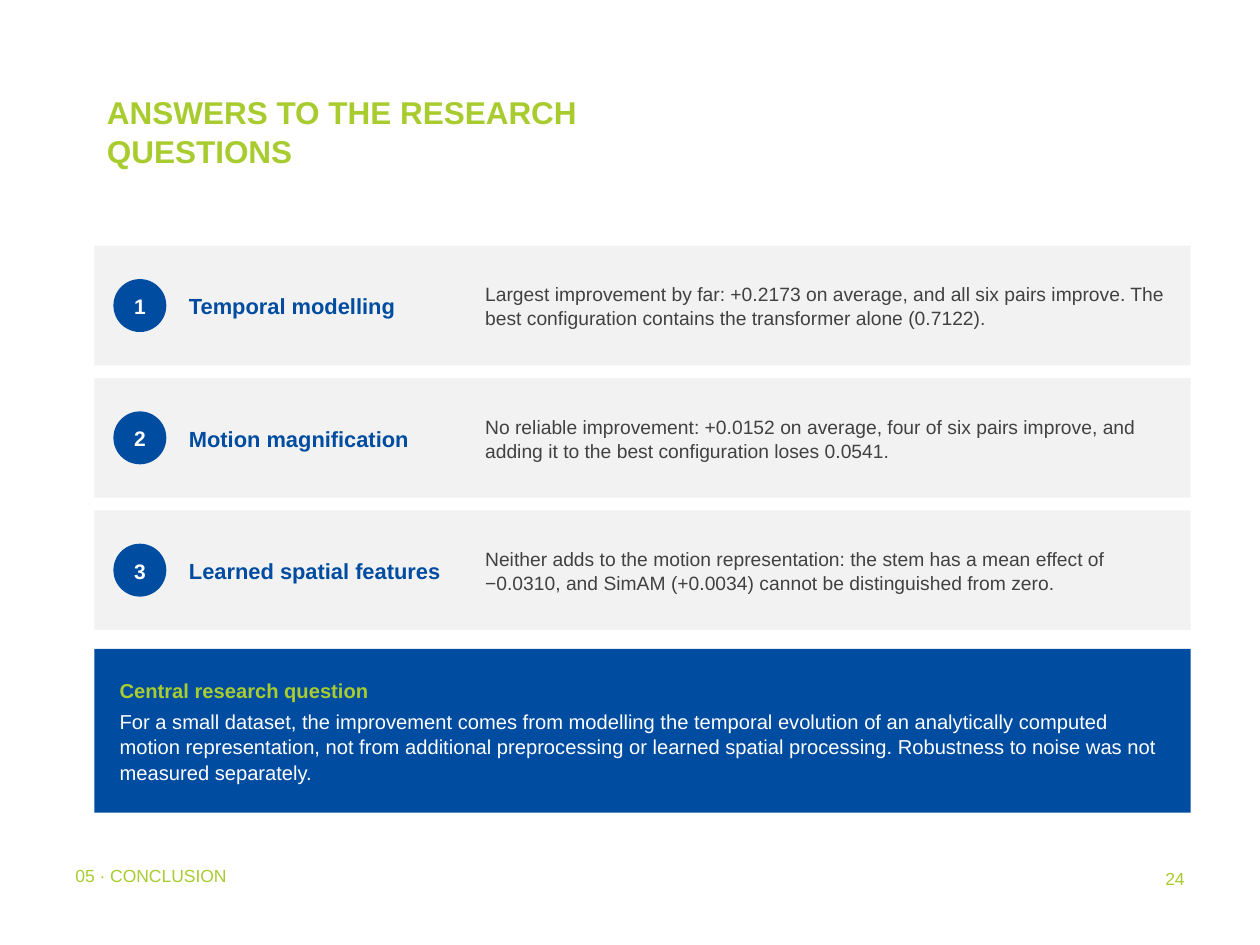
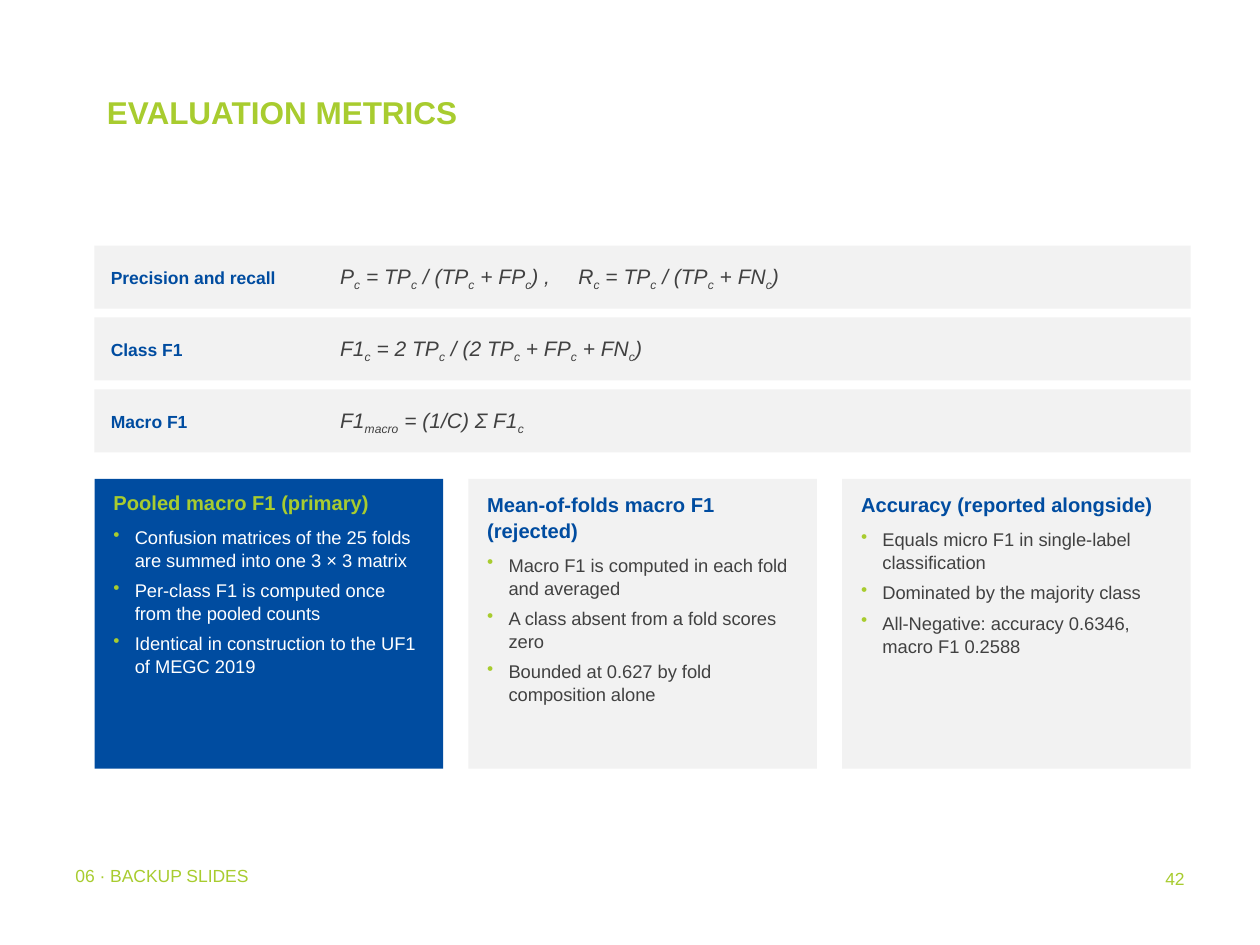
from lxml import etree
from pptx import Presentation
from pptx.dml.color import RGBColor
from pptx.enum.shapes import MSO_SHAPE
from pptx.enum.text import MSO_ANCHOR, PP_ALIGN
from pptx.oxml.ns import qn
from pptx.util import Inches, Pt

RECTANGLE, OVAL = MSO_SHAPE.RECTANGLE, MSO_SHAPE.OVAL
TOP, MIDDLE = MSO_ANCHOR.TOP, MSO_ANCHOR.MIDDLE
LEFT, CENTER, RIGHT = PP_ALIGN.LEFT, PP_ALIGN.CENTER, PP_ALIGN.RIGHT

COLORS = {"lime": "A8CC2F", "blue": "004CA0", "panel": "F2F2F2",
          "text": "414141", "white": "FFFFFF"}
FONT = "Arial"
LINE_SPACING = 1.05
MARGIN, CONTENT_TOP, CONTENT_WIDTH = 0.75, 1.95, 8.7
INSET = (0.05, 0.03)

STYLES = {
    "title": {"size": 18, "bold": True, "color": "lime"},
    "footer": {"size": 10, "color": "lime"},
    "number": {"size": 12, "bold": True, "color": "white"},
    "topic": {"size": 12.5, "bold": True, "color": "blue"},
    "finding": {"size": 11, "color": "text"},
    "central_head": {"size": 11.5, "bold": True, "color": "lime"},
    "central_body": {"size": 11.5, "color": "white"},
    "metric": {"size": 10, "bold": True, "color": "blue"},
    "formula": {"size": 12, "italic": True, "color": "text"},
    "card_head": {"size": 11.5, "bold": True, "color": "blue"},
    "card_head_primary": {"size": 11.5, "bold": True, "color": "lime"},
    "card_item": {"size": 10.5, "color": "text"},
    "card_item_primary": {"size": 10.5, "color": "white"},
}

ANSWERS = [
    ("Temporal modelling",
     "Largest improvement by far: +0.2173 on average, and all six pairs improve. "
     "The best configuration contains the transformer alone (0.7122)."),
    ("Motion magnification",
     "No reliable improvement: +0.0152 on average, four of six pairs improve, "
     "and adding it to the best configuration loses 0.0541."),
    ("Learned spatial features",
     "Neither adds to the motion representation: the stem has a mean effect of "
     "−0.0310, and SimAM (+0.0034) cannot be distinguished from zero."),
]
CENTRAL = [
    ("Central research question", "central_head"),
    ("For a small dataset, the improvement comes from modelling the temporal "
     "evolution of an analytically computed motion representation, not from "
     "additional preprocessing or learned spatial processing. Robustness to "
     "noise was not measured separately.", "central_body"),
]

SUBSCRIPT_MARK = "|"
FORMULAS = [
    ("Precision and recall",
     "P|c| = TP|c| / (TP|c| + FP|c|) ,\tR|c| = TP|c| / (TP|c| + FN|c|)"),
    ("Class F1", "F1|c| = 2 TP|c| / (2 TP|c| + FP|c| + FN|c|)"),
    ("Macro F1", "F1|macro| = (1/C) Σ F1|c|"),
]
FORMULA_TAB = 1.89

CARDS = [
    {"head": "Pooled macro F1 (primary)", "fill": "blue", "suffix": "_primary", "pad": 0.05,
     "items": ["Confusion matrices of the 25 folds are summed into one 3 × 3 matrix",
               "Per-class F1 is computed once from the pooled counts",
               "Identical in construction to the UF1 of MEGC 2019"]},
    {"head": "Mean-of-folds macro F1 (rejected)", "fill": "panel", "suffix": "", "pad": 0.07,
     "items": ["Macro F1 is computed in each fold and averaged",
               "A class absent from a fold scores zero",
               "Bounded at 0.627 by fold composition alone"]},
    {"head": "Accuracy (reported alongside)", "fill": "panel", "suffix": "", "pad": 0.07,
     "items": ["Equals micro F1 in single-label classification",
               "Dominated by the majority class",
               "All-Negative: accuracy 0.6346, macro F1 0.2588"]},
]


def rgb(name):
    return RGBColor.from_string(COLORS[name])


def add_panel(page, left, top, width, height, fill, kind=RECTANGLE):
    shape = page.shapes.add_shape(kind, *map(Inches, (left, top, width, height)))
    shape.shadow.inherit = False
    shape.fill.solid()
    shape.fill.fore_color.rgb = rgb(fill)
    shape.line.fill.background()
    return shape


def set_frame(frame, inset, anchor):
    horizontal, vertical = map(Inches, inset)
    settings = {"word_wrap": True, "vertical_anchor": anchor,
                "margin_left": horizontal, "margin_right": horizontal,
                "margin_top": vertical, "margin_bottom": vertical}
    for name, value in settings.items():
        setattr(frame, name, value)


def style_font(font, style):
    settings = {"name": FONT, "bold": False, "italic": False, **STYLES[style]}
    font.color.rgb = rgb(settings.pop("color"))
    settings["size"] = Pt(settings["size"])
    for name, value in settings.items():
        setattr(font, name, value)


def add_bullet(para):
    properties = para._p.get_or_add_pPr()
    properties.set("marL", str(Inches(0.17)))
    properties.set("indent", str(-Inches(0.17)))
    color = etree.SubElement(properties, qn("a:buClr"))
    etree.SubElement(color, qn("a:srgbClr"), val=COLORS["lime"])
    etree.SubElement(properties, qn("a:buChar"), char="•")


def add_tab_stop(para, position):
    tabs = etree.SubElement(para._p.get_or_add_pPr(), qn("a:tabLst"))
    etree.SubElement(tabs, qn("a:tab"), pos=str(Inches(position)), algn="l")


def write_para(para, text, style, align=LEFT, after=0, bullet=False):
    if bullet:
        add_bullet(para)
    if "\t" in text:
        add_tab_stop(para, FORMULA_TAB)
    settings = {"alignment": align, "line_spacing": LINE_SPACING, "space_after": Pt(after)}
    for name, value in settings.items():
        setattr(para, name, value)
    for index, part in enumerate(text.split(SUBSCRIPT_MARK)):
        if part:
            span = para.add_run()
            span.text = part
            style_font(span.font, style)
            if index % 2:
                span._r.get_or_add_rPr().set("baseline", "-25000")


def add_text(page, left, top, width, height, paragraphs, inset=INSET, anchor=MIDDLE):
    box = page.shapes.add_textbox(*map(Inches, (left, top, width, height)))
    set_frame(box.text_frame, inset, anchor)
    for index, (text, style, options) in enumerate(paragraphs):
        para = box.text_frame.add_paragraph() if index else box.text_frame.paragraphs[0]
        write_para(para, text, style, **options)


def add_page(deck, title, section, number):
    page = deck.slides.add_slide(deck.slide_layouts[6])
    add_text(page, MARGIN, 0.67, 5.42, 1.25, [(title, "title", {})], (0.1, 0.05), TOP)
    add_text(page, 0.5, 6.83, 5.67, 0.4, [(section, "footer", {})], (0.1, 0.03), TOP)
    add_text(page, 7.42, 6.83, 2.08, 0.5, [(number, "footer", {"align": RIGHT})],
             (0.1, 0.05), TOP)
    return page


def build_answers(deck):
    page = add_page(deck, "ANSWERS TO THE RESEARCH QUESTIONS", "05 · CONCLUSION", "24")
    height, gap, diameter = 0.95, 0.1, 0.42
    for index, (topic, finding) in enumerate(ANSWERS):
        top = CONTENT_TOP + index * (height + gap)
        add_panel(page, MARGIN, top, CONTENT_WIDTH, height, "panel")
        badge = add_panel(page, 0.9, top + (height - diameter) / 2, diameter, diameter,
                          "blue", OVAL)
        set_frame(badge.text_frame, (0, 0), MIDDLE)
        write_para(badge.text_frame.paragraphs[0], str(index + 1), "number", CENTER)
        add_text(page, 1.45, top, 2.3, height, [(topic, "topic", {})])
        add_text(page, 3.8, top, 5.55, height, [(finding, "finding", {})])
    add_panel(page, MARGIN, 5.15, CONTENT_WIDTH, 1.3, "blue")
    add_text(page, 0.9, 5.21, 8.4, 1.18,
             [(text, style, {"after": 3}) for text, style in CENTRAL])


def build_metrics(deck):
    page = add_page(deck, "EVALUATION METRICS", "06 · BACKUP SLIDES", "42")
    height, gap = 0.5, 0.07
    for index, (metric, formula) in enumerate(FORMULAS):
        top = CONTENT_TOP + index * (height + gap)
        add_panel(page, MARGIN, top, CONTENT_WIDTH, height, "panel")
        add_text(page, 0.83, top, 1.8, height, [(metric, "metric", {})])
        add_text(page, 2.65, top, 6.72, height, [(formula, "formula", {})])

    top, height, gap = 3.8, 2.3, 0.2
    width = (CONTENT_WIDTH - gap * (len(CARDS) - 1)) / len(CARDS)
    for index, card in enumerate(CARDS):
        left = MARGIN + index * (width + gap)
        pad, suffix = card["pad"], card["suffix"]
        add_panel(page, left, top, width, height, card["fill"])
        paragraphs = [(card["head"], "card_head" + suffix, {"after": 6})]
        paragraphs += [(item, "card_item" + suffix, {"after": 4, "bullet": True})
                       for item in card["items"]]
        add_text(page, left + 0.1, top + pad, width - 0.2, height - 2 * pad,
                 paragraphs, anchor=TOP)


def main():
    deck = Presentation()
    deck.slide_width, deck.slide_height = Inches(10), Inches(7.5)
    build_answers(deck)
    build_metrics(deck)
    deck.save("out.pptx")


if __name__ == "__main__":
    main()
